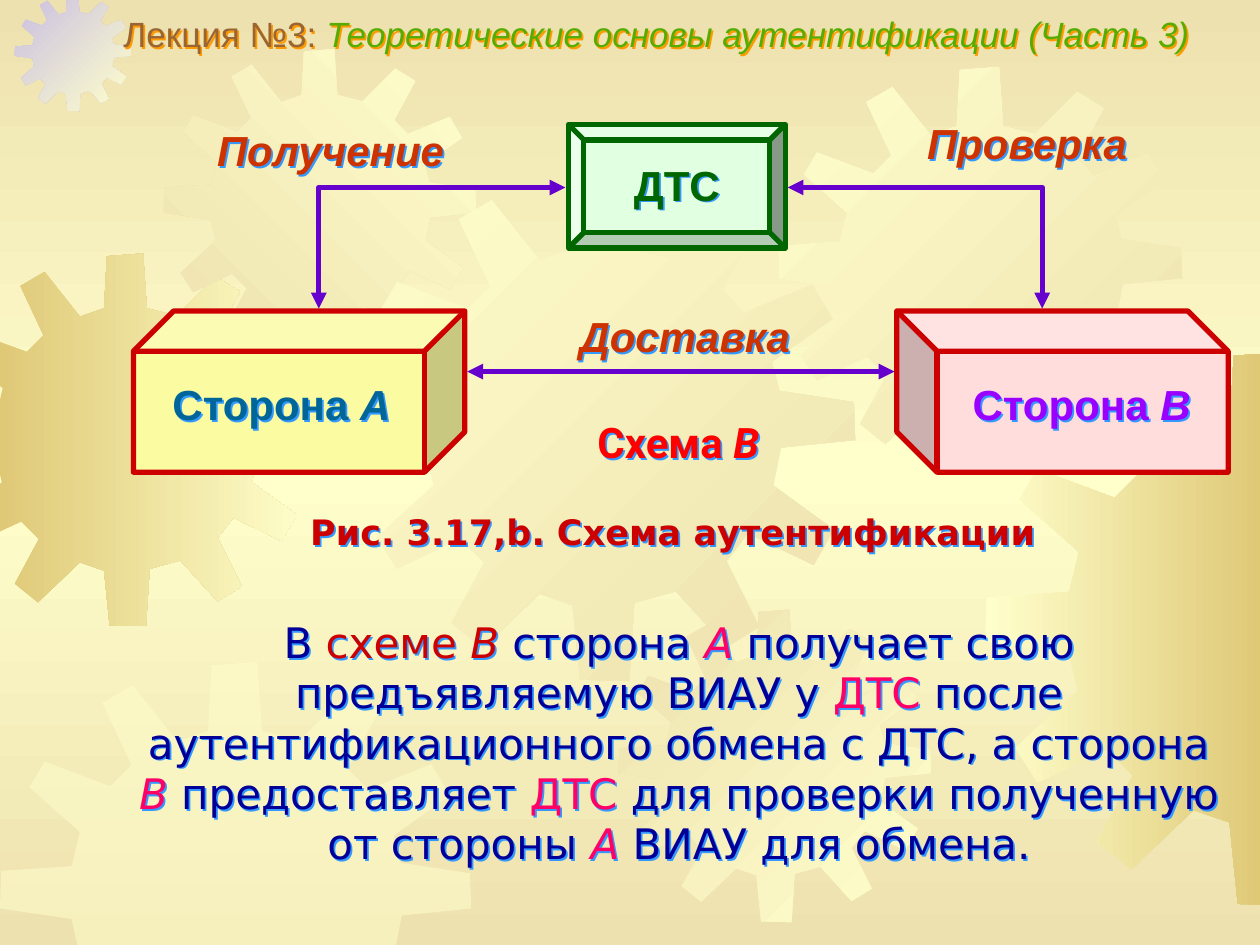
from copy import deepcopy
from dataclasses import dataclass

from lxml import etree
from pptx import Presentation
from pptx import util as u
from pptx.dml.color import RGBColor
from pptx.enum import shapes, text
from pptx.oxml.ns import qn

COLORS = {
    "sand": "EDE1AF", "cream": "FFFFCC", "gold": "DFC977", "lilac": "CAC0E2",
    "red": "CC0000", "pink": "FFDDDD", "yellow": "FBFBA1", "mint": "E1FFE1",
    "green": "006600", "violet": "6600CC", "brown": "996633", "lime": "56AC00",
    "purple": "9900FF", "teal": "006699", "scarlet": "FF0000", "rust": "CC3300",
    "navy": "000099", "magenta": "FF0066", "blue_shadow": "3399FF",
    "orange_shadow": "FF9900",
}
SLIDE_W, SLIDE_H = 25.4, 19.05
GEAR_SPAN = 401
GEAR_OUTLINE = [
    (255, 67), (223, 59), (219, 0), (180, 3), (177, 59), (151, 68), (113, 20), (87, 35),
    (112, 88), (94, 106), (38, 85), (25, 107), (68, 145), (61, 174), (1, 178), (0, 210),
    (61, 219), (67, 246), (22, 287), (38, 312), (88, 288), (107, 307), (81, 355), (106, 375),
    (151, 332), (177, 341), (183, 400), (222, 401), (226, 339), (259, 330), (299, 374),
    (325, 358), (299, 306), (316, 284), (368, 309), (384, 281), (336, 246), (342, 216),
    (401, 210), (400, 180), (341, 171), (335, 148), (383, 114), (367, 87), (313, 109),
    (296, 91), (323, 41), (297, 25),
]
# axis, limit, and the side to keep (1 = above the limit, -1 = below it)
SLIDE_EDGES = [(0, 0, 1), (0, SLIDE_W, -1), (1, 0, 1), (1, SLIDE_H, -1)]


@dataclass
class Gear:
    left: float
    top: float
    size: float
    colors: tuple[str, str]
    angle: int = 0


@dataclass
class Span:
    words: str
    color: str
    italic: bool = False


@dataclass
class Label:
    left: float
    top: float
    spans: list[Span]
    width: float = 4.95
    height: float = 0.89
    size: int = 24
    font: str = "Arial"
    bold: bool = True
    spacing: float = 0.88
    align: text.PP_ALIGN = text.PP_ALIGN.CENTER
    shadow: str = "blue_shadow"


@dataclass
class Solid:
    kind: shapes.MSO_SHAPE
    left: float
    top: float
    width: float
    height: float
    fill: str
    line: str
    flipped: bool = False


GEARS = [
    Gear(-1.22, 5.11, 7.52, ("gold", "cream")),
    Gear(0.3, -0.1, 2.34, ("lilac", "cream"), 45),
    Gear(3.3, 0.99, 6.3, ("sand", "cream"), 315),
    Gear(7.04, 3.53, 10.2, ("cream", "sand"), 45),
    Gear(0, 13.34, 9.5, ("cream", "cream")),
    Gear(12.47, 12.29, 6.3, ("sand", "cream"), 45),
    Gear(15.7, 1.35, 8.13, ("cream", "sand"), 45),
    Gear(19.86, 7.09, 11.16, ("cream", "gold")),
]
SOLIDS = [
    Solid(shapes.MSO_SHAPE.CUBE, 18.08, 6.27, 6.68, 3.25, "pink", "red", flipped=True),
    Solid(shapes.MSO_SHAPE.BEVEL, 11.46, 2.51, 4.37, 2.49, "mint", "green"),
    Solid(shapes.MSO_SHAPE.CUBE, 2.69, 6.27, 6.68, 3.25, "yellow", "red"),
]
ARROWS = [  # start x, start y, end x, end y
    (11.4, 3.78, 6.43, 6.22),
    (15.88, 3.78, 21.01, 6.22),
    (18.03, 7.49, 9.42, 7.49),
]
LABELS = [
    Label(2.49, 0.33, [Span("Лекция №3: ", "brown"),
                       Span("Теоретические основы аутентификации (Часть 3)", "lime", True)],
          width=22.91, height=0.79, size=20, bold=False, spacing=0.9,
          align=text.PP_ALIGN.LEFT, shadow="orange_shadow"),
    Label(2.69, 10.29, [Span("Рис. 3.17,b. Схема аутентификации ", "red")],
          width=22, height=0.84, size=20, font="DejaVu Sans", spacing=1.0),
    Label(12.45, 3.28, [Span("ДТС", "green")], width=2.39, height=0.97, spacing=0.96),
    Label(19.33, 7.77, [Span("Сторона ", "purple"), Span("В", "purple", True)]),
    Label(11.2, 8.53, [Span("Схема ", "scarlet"), Span("B", "scarlet", True)], font="Roboto"),
    Label(3.2, 7.77, [Span("Сторона ", "teal"), Span("А", "teal", True)]),
    Label(4.19, 2.64, [Span("Получение", "rust", True)]),
    Label(17.2, 2.51, [Span("Проверка", "rust", True)], width=7.01),
    Label(11.33, 6.4, [Span("Доставка", "rust", True)]),
    Label(2.69, 12.4, [
        Span("В ", "navy"), Span("схеме ", "red"), Span("В", "red", True),
        Span(" сторона ", "navy"), Span("А", "magenta", True),
        Span(" получает свою предъявляемую ВИАУ у ", "navy"), Span("ДТС", "magenta"),
        Span(" после аутентификационного обмена с ДТС, а сторона ", "navy"),
        Span("В", "magenta", True), Span(" предоставляет ", "navy"), Span("ДТС", "magenta"),
        Span(" для проверки полученную от стороны ", "navy"), Span("А ", "magenta", True),
        Span("ВИАУ для обмена.", "navy"),
    ], width=22, height=5.13, font="DejaVu Sans", bold=False, spacing=1.0),
]


def rgb(name: str) -> RGBColor:
    return RGBColor.from_string(COLORS[name])


def apply(target, values: dict) -> None:
    for name, value in values.items():
        setattr(target, name, value)


def paint_gradient(fill, colors: tuple[str, str], angle: int) -> None:
    """Fill with two colours; the angle runs clockwise."""
    fill.gradient()
    fill.gradient_angle = (360 - angle) % 360
    for stop, name in zip(fill.gradient_stops, colors):
        stop.color.rgb = rgb(name)


def paint_background(page) -> None:
    """Shade from sand through cream in the middle back to sand."""
    fill = page.background.fill
    paint_gradient(fill, ("sand", "cream"), 90)
    first, middle = page.background._cSld.findall(".//" + qn("a:gs"))
    middle.set("pos", "50000")
    last = deepcopy(first)
    last.set("pos", "100000")
    middle.addnext(last)


def clip(points: list, axis: int, limit: float, side: int) -> list:
    """Cut a closed outline along one edge of the slide."""
    kept = []
    for start, end in zip(points[-1:] + points[:-1], points):
        before, after = (side * (point[axis] - limit) for point in (start, end))
        if before * after < 0:
            part = before / (before - after)
            kept.append(tuple(a + part * (b - a) for a, b in zip(start, end)))
        if after >= 0:
            kept.append(end)
    return kept


def draw_gear(page, gear: Gear) -> None:
    scale = gear.size / GEAR_SPAN
    points = [(gear.left + x * scale, gear.top + y * scale) for x, y in GEAR_OUTLINE]
    for edge in SLIDE_EDGES:
        points = clip(points, *edge)
    corners = [(u.Cm(x), u.Cm(y)) for x, y in points]
    builder = page.shapes.build_freeform(*corners[0])
    builder.add_line_segments(corners[1:])
    shape = builder.convert_to_shape()
    shape.shadow.inherit = False
    shape.line.fill.background()
    if gear.colors[0] != gear.colors[1]:
        paint_gradient(shape.fill, gear.colors, gear.angle)
        return
    shape.fill.solid()
    shape.fill.fore_color.rgb = rgb(gear.colors[0])
    color = shape._element.spPr.find(".//" + qn("a:srgbClr"))
    etree.SubElement(color, qn("a:alpha"), val="50000")


def draw_solid(page, solid: Solid) -> None:
    frame = (u.Cm(v) for v in (solid.left, solid.top, solid.width, solid.height))
    shape = page.shapes.add_shape(solid.kind, *frame)
    shape.shadow.inherit = False
    shape.fill.solid()
    shape.fill.fore_color.rgb = rgb(solid.fill)
    shape.line.color.rgb = rgb(solid.line)
    shape.line.width = u.Pt(3)
    if solid.flipped:
        shape._element.spPr.xfrm.set("flipH", "1")


def draw_arrow(page, ends: tuple) -> None:
    """Draw a double-headed arrow: straight if level, else with one corner."""
    kinds = shapes.MSO_CONNECTOR
    level = ends[1] == ends[3]
    arrow = page.shapes.add_connector(kinds.STRAIGHT if level else kinds.ELBOW,
                                      *(u.Cm(v) for v in ends))
    arrow.line.color.rgb = rgb("violet")
    arrow.line.width = u.Pt(3)
    properties = arrow._element.spPr
    if not level:
        properties.find(qn("a:prstGeom")).set("prst", "bentConnector2")
    for tag in ("a:headEnd", "a:tailEnd"):
        etree.SubElement(properties.find(qn("a:ln")), qn(tag), type="triangle")
    etree.SubElement(properties, qn("a:effectLst"))


def draw_label(page, label: Label) -> None:
    frame = (u.Cm(v) for v in (label.left, label.top, label.width, label.height))
    box = page.shapes.add_textbox(*frame)
    apply(box.text_frame, dict(
        margin_left=0, margin_top=0, margin_right=0, margin_bottom=0, word_wrap=True,
        vertical_anchor=text.MSO_ANCHOR.MIDDLE,
        auto_size=text.MSO_AUTO_SIZE.SHAPE_TO_FIT_TEXT))
    para = box.text_frame.paragraphs[0]
    apply(para, dict(alignment=label.align, line_spacing=label.spacing))
    for span in label.spans:
        run = para.add_run()
        run.text = span.words
        apply(run.font, dict(name=label.font, size=u.Pt(label.size),
                             bold=label.bold, italic=span.italic))
        run.font.color.rgb = rgb(span.color)
    effects = etree.SubElement(box._element.spPr, qn("a:effectLst"))
    shadow = etree.SubElement(effects, qn("a:outerShdw"), dist="17961", dir="2700000")
    etree.SubElement(shadow, qn("a:srgbClr"), val=COLORS[label.shadow])


def main() -> None:
    deck = Presentation()
    apply(deck, dict(slide_width=u.Cm(SLIDE_W), slide_height=u.Cm(SLIDE_H)))
    page = deck.slides.add_slide(deck.slide_layouts[6])
    paint_background(page)
    for draw, items in ((draw_gear, GEARS), (draw_solid, SOLIDS),
                        (draw_arrow, ARROWS), (draw_label, LABELS)):
        for item in items:
            draw(page, item)
    deck.save("out.pptx")


if __name__ == "__main__":
    main()
